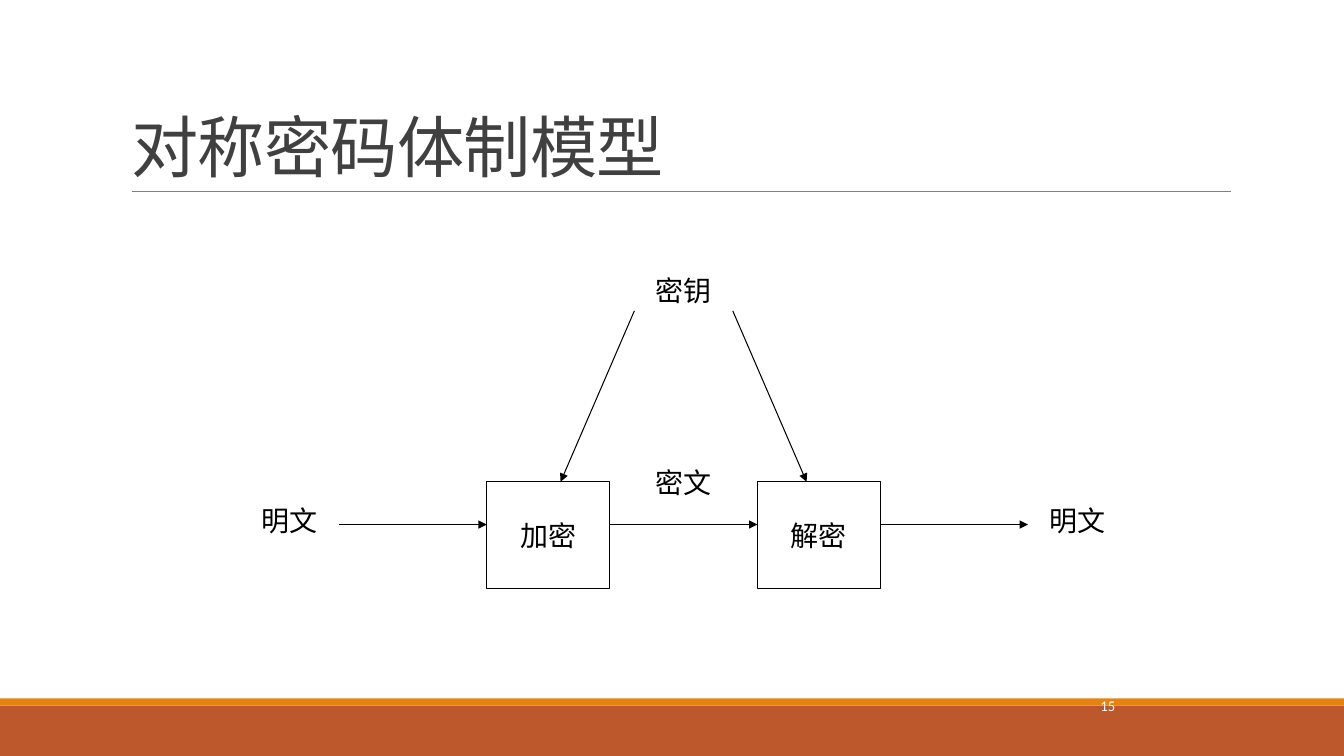
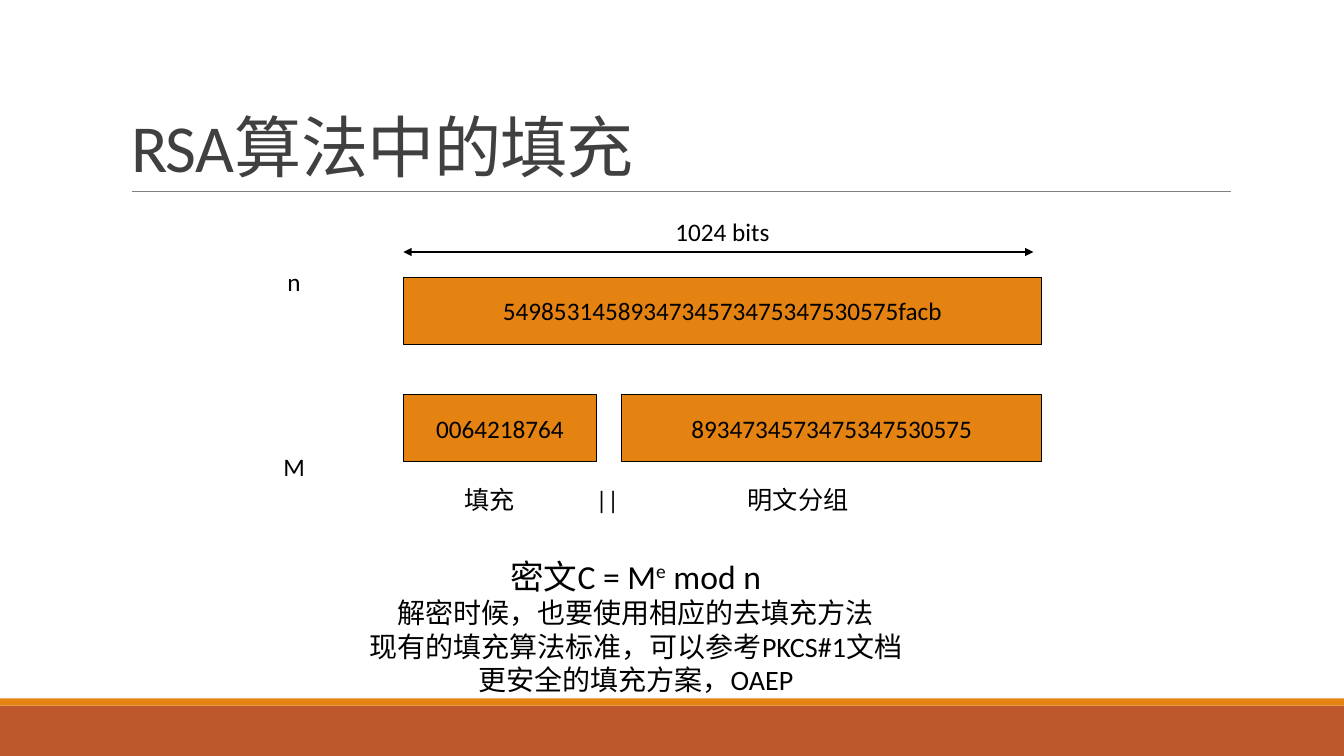
"""Build two slides on symmetric ciphers and RSA padding."""
from lxml import etree
from pptx import Presentation
from pptx.dml.color import RGBColor
from pptx.enum.shapes import MSO_CONNECTOR, MSO_SHAPE
from pptx.enum.text import MSO_ANCHOR, MSO_AUTO_SIZE, PP_ALIGN
from pptx.oxml.ns import qn
from pptx.util import Inches, Pt

RECTANGLE, STRAIGHT = MSO_SHAPE.RECTANGLE, MSO_CONNECTOR.STRAIGHT
TOP, MIDDLE, BOTTOM = MSO_ANCHOR.TOP, MSO_ANCHOR.MIDDLE, MSO_ANCHOR.BOTTOM
LEFT, CENTER, RIGHT = PP_ALIGN.LEFT, PP_ALIGN.CENTER, PP_ALIGN.RIGHT

WIDTH, HEIGHT = 13.33, 7.5
TITLE_ONLY = 5
BLACK, WHITE, GREY = "000000", "FFFFFF", "808080"
TITLE_COLOUR, ORANGE, RUST = "404040", "E48312", "BD582C"
BANDS = [(7, 0.5, RUST), (6.93, 0.07, ORANGE)]

TITLE_STYLE = {"name": "Calibri", "size": Pt(48)}
NUMBER_STYLE = {"name": "Calibri", "size": Pt(10.5)}
MODEL_STYLE = {"name": "Times New Roman", "size": Pt(20)}
PADDING_STYLE = {"name": "Calibri", "size": Pt(18)}
FORMULA_STYLE = {"name": "Calibri", "size": Pt(24)}
NOTE_STYLE = {"name": "Calibri", "size": Pt(20)}

MODEL_GRID = {"left": 1.9, "top": 2.66, "column": 1.22 / 5, "row": 1.06 / 5}
MODEL_BOXES = [("加密", 12, 10), ("解密", 23, 10)]
MODEL_LABELS = [("明文", 0, 10.8), ("密钥", 16, 0), ("密文", 16, 9), ("明文", 32, 10.8)]
MODEL_ARROWS = [
    (6, 12, 12, 12), (17, 12, 23, 12), (28, 12, 34, 12),
    (18, 2, 15, 10), (22, 2, 25, 10),
]

PADDING_GRID = {"left": 0, "top": 0, "column": 1 / 12, "row": 1 / 12}
PADDING_BARS = [
    ("5498531458934734573475347530575facb", 48, 33, 76),
    ("0064218764", 48, 47, 23),
    ("8934734573475347530575", 74, 47, 50),
]
PADDING_LABELS = [
    ("1024 bits", 86, 25), ("n", 35, 31), ("M", 35, 53),
    ("填充", 58.3, 57), ("||", 72.3, 57), ("明文分组", 95, 57),
]
BITS_ARROW = (48, 30, 123, 30)
FORMULA = [("密文C = M", False), ("e", True), (" mod n", False)]
NOTES = [
    "解密时候，也要使用相应的去填充方法",
    "现有的填充算法标准，可以参考PKCS#1文档",
    "更安全的填充方案，OAEP",
]


def colour(value):
    """Turn a hex string into a colour."""
    return RGBColor.from_string(value)


def on_grid(grid, column, row):
    """Return the inches of a grid point."""
    return grid["left"] + column * grid["column"], grid["top"] + row * grid["row"]


def style_span(span, style, ink):
    """Apply font values and a colour to a run."""
    for name, value in style.items():
        setattr(span.font, name, value)
    span.font.color.rgb = colour(ink)


def add_span(para, words, style, ink=BLACK, raised=False):
    """Add a run, raised when it is an exponent."""
    span = para.add_run()
    span.text = words
    style_span(span, style, ink)
    if raised:
        span.font._element.set("baseline", "30000")
    return span


def set_frame(frame, anchor, wrap):
    """Set the anchor and wrapping of a text frame."""
    values = {"auto_size": MSO_AUTO_SIZE.NONE, "word_wrap": wrap, "vertical_anchor": anchor}
    for name, value in values.items():
        setattr(frame, name, value)


def write(shape, words, style, ink=BLACK, anchor=MIDDLE, align=CENTER, wrap=False):
    """Write one paragraph into a shape."""
    set_frame(shape.text_frame, anchor, wrap)
    para = shape.text_frame.paragraphs[0]
    para.alignment = align
    return add_span(para, words, style, ink)


def add_text(slide, place):
    """Add a text box at a place in inches."""
    return slide.shapes.add_textbox(*map(Inches, place))


def add_box(slide, place, fill, outline=None):
    """Add a flat rectangle."""
    box = slide.shapes.add_shape(RECTANGLE, *map(Inches, place))
    box.shadow.inherit = False
    box.fill.solid()
    box.fill.fore_color.rgb = colour(fill)
    if outline:
        box.line.color.rgb = colour(outline)
        box.line.width = Pt(0.75)
    else:
        box.line.fill.background()
    return box


def add_line(slide, start, end, ink=BLACK, width=0.75, ends=()):
    """Add a straight line with arrowheads at the named ends."""
    line = slide.shapes.add_connector(STRAIGHT, *map(Inches, start + end))
    line.line.color.rgb = colour(ink)
    line.line.width = Pt(width)
    outline = line.line._get_or_add_ln()
    for end_name in ends:
        etree.SubElement(outline, qn(f"a:{end_name}"), type="triangle")
    etree.SubElement(line._element.spPr, qn("a:effectLst"))


def add_arrow(slide, grid, route, ends=("tailEnd",)):
    """Add an arrow between two grid points."""
    add_line(slide, on_grid(grid, *route[:2]), on_grid(grid, *route[2:]), ends=ends)


def add_page(deck, heading):
    """Add a slide with its bands, rule and title."""
    slide = deck.slides.add_slide(deck.slide_layouts[TITLE_ONLY])
    for top, height, fill in BANDS:
        add_box(slide, (0, top, WIDTH, height), fill)
    add_line(slide, (1.31, 1.9), (12.21, 1.9), GREY, 0.5)
    title = slide.shapes.title
    place = {"left": 1.2, "top": 0.31, "width": 11, "height": 1.59}
    for name, value in place.items():
        setattr(title, name, Inches(value))
    span = write(title, heading, TITLE_STYLE, TITLE_COLOUR, BOTTOM, LEFT, True)
    span.font._element.set("spc", "-50")
    title.text_frame.paragraphs[0].line_spacing = 0.85
    return slide


def build_model(deck):
    """Build the symmetric cipher model."""
    slide = add_page(deck, "对称密码体制模型")
    number = add_text(slide, (9.08, 6.75, 2.08, 0.5))
    write(number, "15", NUMBER_STYLE, WHITE, align=RIGHT, wrap=True)
    for words, column, row in MODEL_BOXES:
        place = on_grid(MODEL_GRID, column, row) + (1.22, 1.06)
        write(add_box(slide, place, WHITE, BLACK), words, MODEL_STYLE, wrap=True)
    for words, column, row in MODEL_LABELS:
        place = on_grid(MODEL_GRID, column, row) + (1.95, 0.63)
        write(add_text(slide, place), words, MODEL_STYLE, anchor=TOP, wrap=True)
    for route in MODEL_ARROWS:
        add_arrow(slide, MODEL_GRID, route)


def build_padding(deck):
    """Build the RSA padding slide."""
    slide = add_page(deck, "RSA算法中的填充")
    for words, column, row, columns in PADDING_BARS:
        place = on_grid(PADDING_GRID, column, row) + on_grid(PADDING_GRID, columns, 8)
        write(add_box(slide, place, ORANGE, BLACK), words, PADDING_STYLE)
    for words, middle, row in PADDING_LABELS:
        place = on_grid(PADDING_GRID, middle - 6, row) + on_grid(PADDING_GRID, 12, 5)
        write(add_text(slide, place), words, PADDING_STYLE)
    add_arrow(slide, PADDING_GRID, BITS_ARROW, ("headEnd", "tailEnd"))
    frame = add_text(slide, (2.02, 5.42, 8.57, 1.58)).text_frame
    set_frame(frame, MIDDLE, False)
    for words, raised in FORMULA:
        add_span(frame.paragraphs[0], words, FORMULA_STYLE, raised=raised)
    for words in NOTES:
        add_span(frame.add_paragraph(), words, NOTE_STYLE)
    for para in frame.paragraphs:
        para.alignment = CENTER


def main():
    """Build and save the deck."""
    deck = Presentation()
    deck.slide_width, deck.slide_height = Inches(WIDTH), Inches(HEIGHT)
    build_model(deck)
    build_padding(deck)
    deck.save("out.pptx")


if __name__ == "__main__":
    main()
